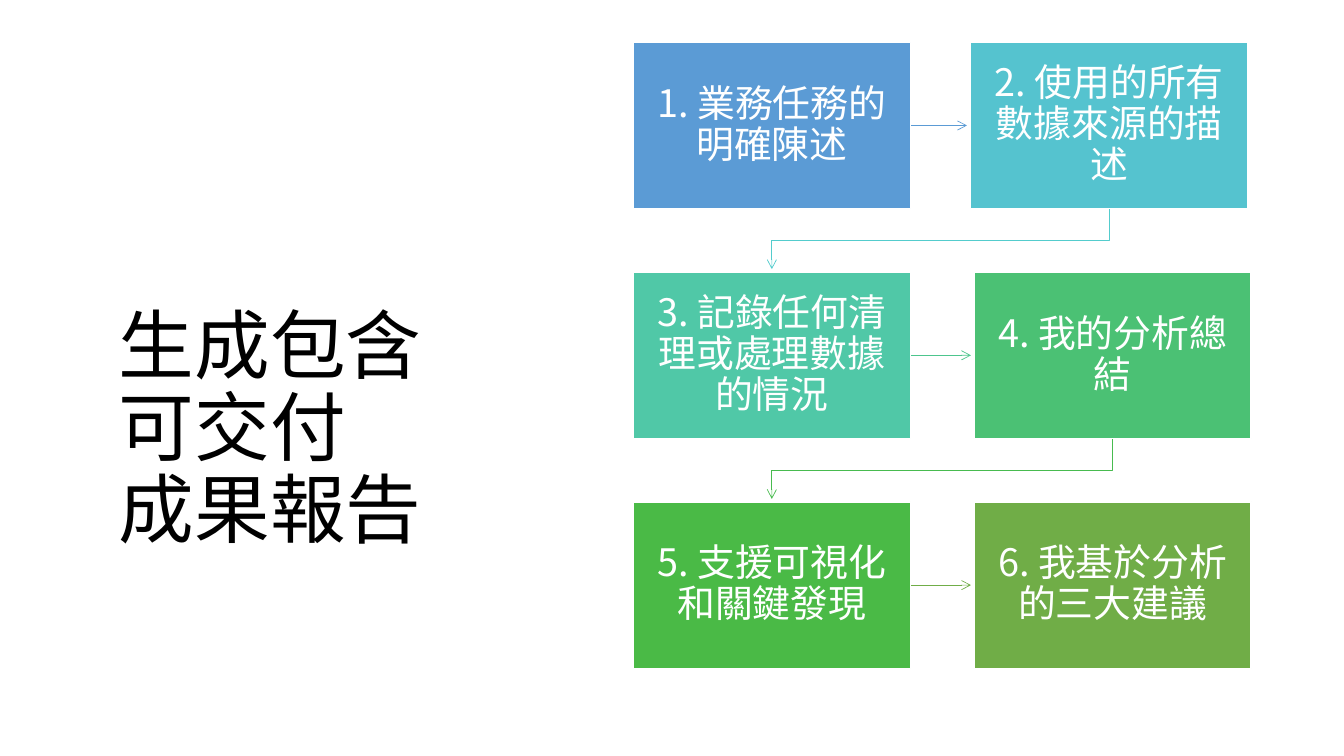
from pptx import Presentation
from pptx import util as u
from pptx.dml import color
from pptx.enum import text
from pptx.enum import shapes
from pptx.oxml import ns, xmlchemy

COLORS = {
    "title": "000000",
    "white": "FFFFFF",
    "task": "5B9BD5",
    "sources": "55C3CF",
    "cleaning": "50C8A7",
    "summary": "4BC174",
    "visuals": "4ABA46",
    "advice": "70AD47",
    "to_cleaning": "54CCCD",
    "to_summary": "4DC58D",
    "to_visuals": "48BB4F",
}

CARDS = [
    (0, 0, "task", "1. 業務任務的明確陳述"),
    (0.99, 0, "sources", "2. 使用的所有數據來源的描述"),
    (0, 1, "cleaning", "3. 記錄任何清理或處理數據的情況"),
    (1, 1, "summary", "4. 我的分析總結"),
    (0, 2, "visuals", "5. 支援可視化和關鍵發現"),
    (1, 2, "advice", "6. 我基於分析的三大建議"),
]
ACROSS = [(0, 9.59, "task"), (1, 9.63, "to_summary"), (2, 9.63, "advice")]
DOWN = [(0.99, 0, "to_cleaning"), (1, 1, "to_visuals")]


class ReportSlide:
    font = "Noto Sans CJK SC"
    left, top = 6.28, 0.42
    column_pitch, row_pitch = 3.38, 2.28
    card_width, card_height = 2.75, 1.65

    def __init__(self, presentation):
        self.slide = presentation.slides.add_slide(presentation.slide_layouts[5])

    def x(self, column):
        return self.left + column * self.column_pitch

    def y(self, row):
        return self.top + row * self.row_pitch

    def color(self, name):
        return color.RGBColor.from_string(COLORS[name])

    def add_run(self, paragraph, words, size, color_name):
        run = paragraph.add_run()
        run.text = words
        run.font.size = u.Pt(size)
        run.font.name = self.font
        run.font.color.rgb = self.color(color_name)
        east_asian = xmlchemy.OxmlElement("a:ea")
        east_asian.set("typeface", self.font)
        run.font._element.find(ns.qn("a:latin")).addnext(east_asian)

    def title(self, lines):
        shape = self.slide.shapes.title
        shape.left, shape.top = u.Inches(1.08), u.Inches(3.01)
        shape.width, shape.height = u.Inches(5.32), u.Inches(2.92)
        frame = shape.text_frame
        frame.word_wrap = True
        frame.auto_size = text.MSO_AUTO_SIZE.NONE
        frame.vertical_anchor = text.MSO_ANCHOR.TOP
        paragraph = frame.paragraphs[0]
        paragraph.alignment = text.PP_ALIGN.LEFT
        paragraph.line_spacing = 0.9
        for index, line in enumerate(lines):
            if index:
                paragraph.add_line_break()
            self.add_run(paragraph, line, 54, "title")

    def card(self, column, row, fill, words):
        shape = self.slide.shapes.add_shape(
            shapes.MSO_SHAPE.RECTANGLE,
            u.Inches(self.x(column)), u.Inches(self.y(row)),
            u.Inches(self.card_width), u.Inches(self.card_height))
        shape.shadow.inherit = False
        shape.fill.solid()
        shape.fill.fore_color.rgb = self.color(fill)
        shape.line.color.rgb = self.color("white")
        shape.line.width = u.Pt(1)
        frame = shape.text_frame
        frame.word_wrap = True
        frame.vertical_anchor = text.MSO_ANCHOR.MIDDLE
        frame.margin_left = frame.margin_right = u.Inches(0.13)
        frame.margin_top = frame.margin_bottom = u.Inches(0.14)
        paragraph = frame.paragraphs[0]
        paragraph.alignment = text.PP_ALIGN.CENTER
        paragraph.line_spacing = 0.9
        self.add_run(paragraph, words, 27, "white")

    def style_arrow(self, shape, color_name):
        shape.line.color.rgb = self.color(color_name)
        shape.line.width = u.Pt(0.5)
        head = xmlchemy.OxmlElement("a:tailEnd")
        head.set("type", "arrow")
        shape.line._get_or_add_ln().append(head)

    def arrow_across(self, row, end, color_name):
        start = self.x(0) + self.card_width
        middle = self.y(row) + self.card_height / 2
        connector = self.slide.shapes.add_connector(
            shapes.MSO_CONNECTOR.STRAIGHT,
            u.Inches(start), u.Inches(middle), u.Inches(end), u.Inches(middle))
        self.style_arrow(connector, color_name)
        connector._element.spPr.append(xmlchemy.OxmlElement("a:effectLst"))

    def arrow_down(self, column, row, color_name):
        start = u.Inches(self.x(column) + self.card_width / 2)
        end = u.Inches(self.x(0) + self.card_width / 2)
        bottom = u.Inches(self.y(row) + self.card_height)
        bend, tip = bottom + u.Inches(0.32), bottom + u.Inches(0.6)
        builder = self.slide.shapes.build_freeform(start, bottom)
        builder.add_line_segments([(start, bend), (end, bend), (end, tip)], close=False)
        shape = builder.convert_to_shape()
        shape.shadow.inherit = False
        shape.fill.background()
        self.style_arrow(shape, color_name)


def main():
    presentation = Presentation()
    presentation.slide_width = u.Inches(13.33)
    presentation.slide_height = u.Inches(7.5)
    report = ReportSlide(presentation)
    report.title(["生成包含", "可交付", "成果報告"])
    for row, end, color_name in ACROSS:
        report.arrow_across(row, end, color_name)
    for column, row, color_name in DOWN:
        report.arrow_down(column, row, color_name)
    for column, row, fill, words in CARDS:
        report.card(column, row, fill, words)
    presentation.save("out.pptx")


if __name__ == "__main__":
    main()
